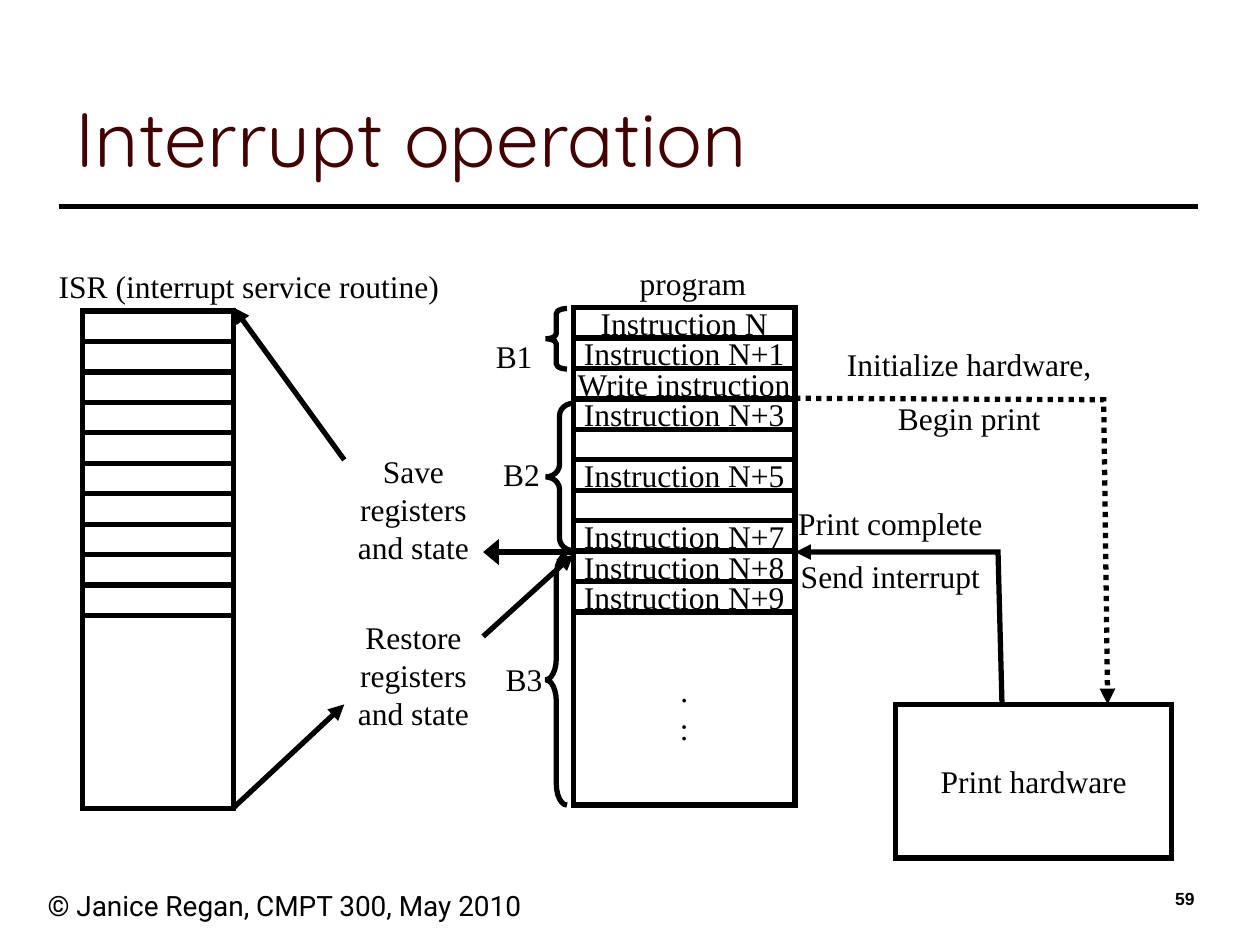
from lxml.etree import SubElement
from pptx import Presentation
from pptx.dml.color import RGBColor
from pptx.enum.dml import MSO_LINE
from pptx.enum.shapes import MSO_CONNECTOR, MSO_SHAPE
from pptx.enum.text import MSO_ANCHOR, PP_ALIGN
from pptx.oxml.ns import qn
from pptx.util import Cm, Pt

BLACK, WHITE, MAROON = "000000", "FFFFFF", "420000"
SERIF = "Times New Roman"
ROWS = 10
LAST_ROW = 3.89
INSTRUCTIONS = ["Instruction N", "Instruction N+1", "Write instruction",
                "Instruction N+3", "", "Instruction N+5", "",
                "Instruction N+7", "Instruction N+8", "Instruction N+9", ".\n:"]


def color(hex_string):
    return RGBColor.from_string(hex_string)


def write(shape, text, size=18, font=SERIF, ink=BLACK, align=PP_ALIGN.CENTER,
          anchor=MSO_ANCHOR.TOP, wrap=True, bold=False, gap=0):
    frame = shape.text_frame
    frame.word_wrap = wrap
    frame.vertical_anchor = anchor
    for i, line in enumerate(text.split("\n")):
        paragraph = frame.add_paragraph() if i else frame.paragraphs[0]
        paragraph.text = line
        paragraph.alignment = align
        if i:
            paragraph.space_before = Pt(gap)
        paragraph.font.name = font
        paragraph.font.size = Pt(size)
        paragraph.font.bold = bold
        paragraph.font.color.rgb = color(ink)


def label(slide, x, y, w, h, text, **style):
    write(slide.shapes.add_textbox(Cm(x), Cm(y), Cm(w), Cm(h)), text, **style)


def stroke(shape, arrow=False, head_width="med"):
    shape.line.color.rgb = color(BLACK)
    shape.line.width = Pt(3)
    outline = shape.line._get_or_add_ln()
    SubElement(outline, qn("a:miter"), lim="800000")
    if arrow:
        SubElement(outline, qn("a:tailEnd"), type="triangle", w=head_width)


def block(slide, x, y, w, h, text=""):
    rect = slide.shapes.add_shape(MSO_SHAPE.RECTANGLE, Cm(x), Cm(y), Cm(w), Cm(h))
    rect.shadow.inherit = False
    rect.fill.solid()
    rect.fill.fore_color.rgb = color(WHITE)
    stroke(rect)
    if text:
        write(rect, text, anchor=MSO_ANCHOR.MIDDLE, wrap=False)


def straight(slide, x1, y1, x2, y2, arrow=True, head_width="med"):
    line = slide.shapes.add_connector(MSO_CONNECTOR.STRAIGHT,
                                      Cm(x1), Cm(y1), Cm(x2), Cm(y2))
    stroke(line, arrow, head_width)
    SubElement(line._element.spPr, qn("a:effectLst"))


def bent_arrow(slide, x, y, points, dotted=False):
    (start_x, start_y), *rest = [(Cm(x + dx), Cm(y + dy)) for dx, dy in points]
    builder = slide.shapes.build_freeform(start_x, start_y)
    builder.add_line_segments(rest, close=False)
    route = builder.convert_to_shape()
    route.shadow.inherit = False
    route.fill.background()
    if dotted:
        route.line.dash_style = MSO_LINE.ROUND_DOT
    stroke(route, arrow=True)


def header(slide, x, y, w, h):
    straight(slide, x - 0.08, y + h + 0.36, x + w + 0.02, y + h + 0.36, arrow=False)
    label(slide, x, y, w, h, "Interrupt operation", size=44, font="Quicksand",
          ink=MAROON, align=PP_ALIGN.LEFT, anchor=MSO_ANCHOR.BOTTOM)


def footer(slide, x, y, w, h):
    label(slide, x, y, 12.19, h, "© Janice Regan, CMPT 300, May 2010",
          size=16, font="Roboto", align=PP_ALIGN.LEFT)
    label(slide, x + w - 5.28, y, 5.28, h, "59", size=10, font="Arial",
          align=PP_ALIGN.RIGHT, bold=True)


def memory_column(slide, x, y, w, h, heading, heading_dx, heading_width, rows):
    row_height = (h - LAST_ROW) / ROWS
    for i, text in enumerate(rows):
        height = row_height if i < ROWS else LAST_ROW
        block(slide, x, y + i * row_height, w, height, text)
    # Heading sits just above the column
    label(slide, x + heading_dx, y - 1.01, heading_width, 1.01, heading)


def printing(slide, x, y, w, h):
    block(slide, x + 2.03, y + h, 5.56, 3.1, "Print hardware")
    # Request to the hardware
    bent_arrow(slide, x, y, [(0, 0), (w - 0.08, 0.03), (w, h)], dotted=True)
    label(slide, x + 0.73, y - 1.2, 5.56, 2.16,
          "Initialize hardware,\nBegin print", gap=9)
    # Interrupt from the hardware
    bent_arrow(slide, x, y, [(4.17, h), (4.09, 3.1), (0, 3.1)])
    label(slide, x - 0.94, y + 2, 5.72, 2.16,
          "Print complete\nSend interrupt", gap=9)


def context_switch(slide, x, y, w, h):
    near, far = x + 2.23, x + 5.03
    straight(slide, x + w, y + 4.93, far, y + 4.93, head_width="lg")
    straight(slide, near, y + 3.07, x, y)
    straight(slide, x, y + h, near, y + 8)
    straight(slide, far, y + 6.63, x + w, y + 4.98)
    for top, action in [(2.79, "Save"), (6.14, "Restore")]:
        label(slide, near, y + top, 2.79, 2.54, f"{action} registers and state")


def brace_marks(slide, x, y):
    # Name, brace top, width, height, curl, then label offset
    marks = [("B1", 0.02, 0.43, 1.22, 0.24, -1.83, 0.46),
             ("B2", 1.93, 0.56, 2.97, 0.45, -1.68, 2.84),
             ("B3", 4.98, 0.43, 5.05, 1.0, -1.63, 6.98)]
    for name, top, w, h, curl, dx, dy in marks:
        brace = slide.shapes.add_shape(MSO_SHAPE.LEFT_BRACE, Cm(x - 0.56),
                                       Cm(y + top), Cm(w), Cm(h))
        brace.shadow.inherit = False
        brace.adjustments[0] = curl
        brace.fill.background()
        stroke(brace)
        label(slide, x + dx, y + dy, 1.27, 1.02, name)


def main():
    deck = Presentation()
    deck.slide_width, deck.slide_height = Cm(25.4), Cm(19.05)
    slide = deck.slides.add_slide(deck.slide_layouts[6])
    header(slide, 1.27, 0.64, 22.86, 3.17)
    footer(slide, 0.71, 17.78, 23.62, 1.27)
    memory_column(slide, 11.56, 6.2, 4.47, 10.03, "program",
                  -0.56, 5.94, INSTRUCTIONS)
    memory_column(slide, 1.66, 6.27, 3.05, 10.03, "ISR (interrupt service routine)",
                  -1.35, 9.42, [""] * (ROWS + 1))
    printing(slide, 16.03, 8.03, 6.3, 6.17)
    context_switch(slide, 4.71, 6.2, 6.85, 10.08)
    brace_marks(slide, 11.56, 6.2)
    deck.save("out.pptx")


if __name__ == "__main__":
    main()
